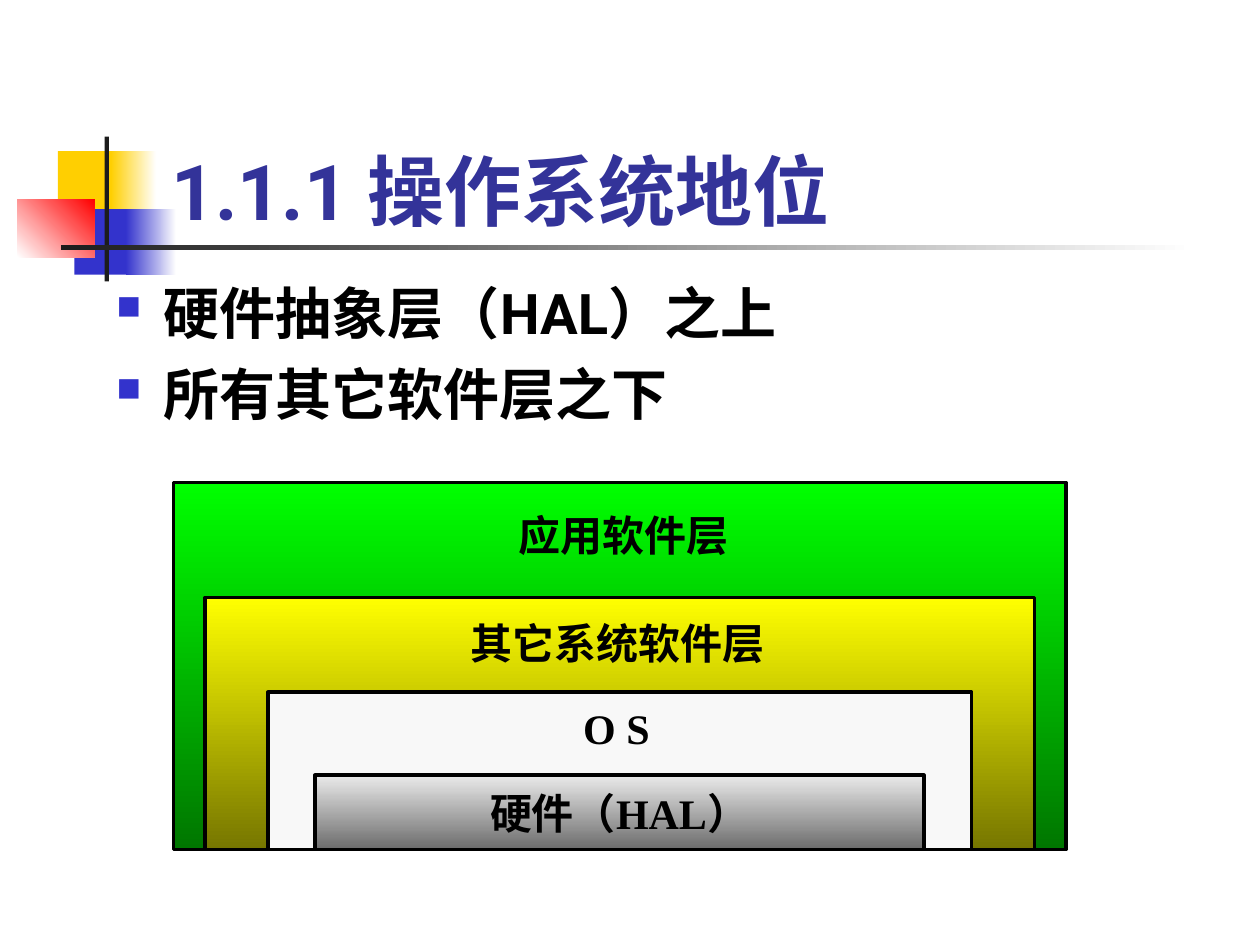
from pptx import Presentation
from pptx.dml.color import RGBColor
from pptx.enum.shapes import MSO_SHAPE
from pptx.enum.text import MSO_ANCHOR, PP_ALIGN
from pptx.oxml.ns import qn
from pptx.util import Pt
from lxml import etree

RECT = MSO_SHAPE.RECTANGLE
TOP, MID, LOW = MSO_ANCHOR.TOP, MSO_ANCHOR.MIDDLE, MSO_ANCHOR.BOTTOM
LEFT, MIDDLE = PP_ALIGN.LEFT, PP_ALIGN.CENTER

HUE = {
    "gold": "FFCF01", "blue": "3333CC", "red": "FF0000", "dark": "1C1C1C",
    "white": "FFFFFF", "navy": "333399", "black": "000000",
    "green": "00FF00", "moss": "007600", "yellow": "FFFF00",
    "olive": "767600", "pale": "F8F8F8", "silver": "EAEAEA", "gray": "6C6C6C",
}
HEAD = {"size": Pt(44), "name": "Roboto", "bold": True}
BODY = {**HEAD, "size": Pt(32)}
LABEL = {"size": Pt(24), "name": "Times New Roman", "bold": True}

TITLE = "1.1.1 操作系统地位"
POINTS = ["硬件抽象层（HAL）之上", "所有其它软件层之下"]

# Ornament: box (left, top, width, height), colours, clockwise angle
DECOR = [
    ((33.1, 86.4, 34.6, 37.4), ["gold"], 0),
    ((63.4, 86.4, 25.9, 37.4), ["gold", "white"], 0),
    ((42.5, 119.5, 33.1, 37.4), ["blue"], 0),
    ((72, 119.5, 28.8, 37.4), ["blue", "white"], 0),
    ((10, 113.8, 44, 33.1), ["white", "red"], 315),
    ((59.8, 78, 2.4, 82.8), ["dark"], 0),
    ((34.6, 140.2, 648, 2.4), ["dark", "white"], 0),
]
# Nested layers, outermost first: left, top, width, colours
BASE = 485.5
LAYERS = [
    (99.2, 275.8, 510, ["green", "moss"]),
    (117.2, 341.5, 474, ["yellow", "olive"]),
    (153.2, 395.5, 402, ["pale"]),
    (180, 443, 348, ["silver", "gray"]),
]
CORE = "硬件（HAL）"
# Layer names: text, box, side inset, top inset
NAMES = [
    ("应用软件层", (289, 287.6, 142, 36), 7.2, 3.6),
    ("其它系统软件层", (261.7, 349.4, 190, 36), 7.2, 3.6),
    ("O S", (333.2, 401.5, 46.8, 28.8), 0, 0),
]


def rgb(name):
    return RGBColor.from_string(HUE[name])


def block(box, hues, angle=90, line=None):
    shape = slide.shapes.add_shape(RECT, *map(Pt, box))
    shape.shadow.inherit = False
    if len(hues) == 1:
        shape.fill.solid()
        shape.fill.fore_color.rgb = rgb(hues[0])
    else:
        shape.fill.gradient()
        shape.fill.gradient_angle = -angle % 360
        for stop, hue in zip(shape.fill.gradient_stops, hues):
            stop.color.rgb = rgb(hue)
    if line:
        shape.line.color.rgb = rgb("black")
        shape.line.width = Pt(line)
    else:
        shape.line.fill.background()
    return shape


def write(para, text, style, hue="black", align=LEFT):
    para.alignment = align
    run = para.add_run()
    run.text = text
    for key, value in style.items():
        setattr(run.font, key, value)
    run.font.color.rgb = rgb(hue)


def frame(shape, anchor=TOP, wrap=True, side=7.2, edge=3.6):
    text = shape.text_frame
    values = {
        "vertical_anchor": anchor, "word_wrap": wrap,
        "margin_left": Pt(side), "margin_right": Pt(side),
        "margin_top": Pt(edge), "margin_bottom": Pt(edge),
    }
    for key, value in values.items():
        setattr(text, key, value)
    return text


def area(box, **opts):
    return frame(slide.shapes.add_textbox(*map(Pt, box)), **opts)


def bullet(para):
    props = para._p.get_or_add_pPr()
    props.set("marL", str(Pt(27)))
    props.set("indent", str(-Pt(27)))
    tint = etree.SubElement(props, qn("a:buClr"))
    etree.SubElement(tint, qn("a:srgbClr"), val=HUE["blue"])
    etree.SubElement(props, qn("a:buSzPct"), val="60000")
    etree.SubElement(props, qn("a:buChar"), char="■")


deck = Presentation()
deck.slide_width, deck.slide_height = Pt(720), Pt(540)
slide = deck.slides.add_slide(deck.slide_layouts[6])

# Ornament
for box, hues, angle in DECOR:
    block(box, hues, angle)

# Title and bullets
head = area((90.7, 48.2, 613.4, 90), anchor=LOW)
write(head.paragraphs[0], TITLE, HEAD, "navy")

body = area((59.4, 155.5, 612, 324))
for i, point in enumerate(POINTS):
    para = body.add_paragraph() if i else body.paragraphs[0]
    bullet(para)
    if i:
        para.space_before = Pt(8)
    write(para, point, BODY)

# Layer diagram
for left, top, width, hues in LAYERS:
    layer = block((left, top, width, BASE - top), hues, line=2)
core = frame(layer, anchor=MID, wrap=False)
write(core.paragraphs[0], CORE, LABEL, align=MIDDLE)

for text, box, side, edge in NAMES:
    name = area(box, side=side, edge=edge)
    write(name.paragraphs[0], text, LABEL)

deck.save("out.pptx")
